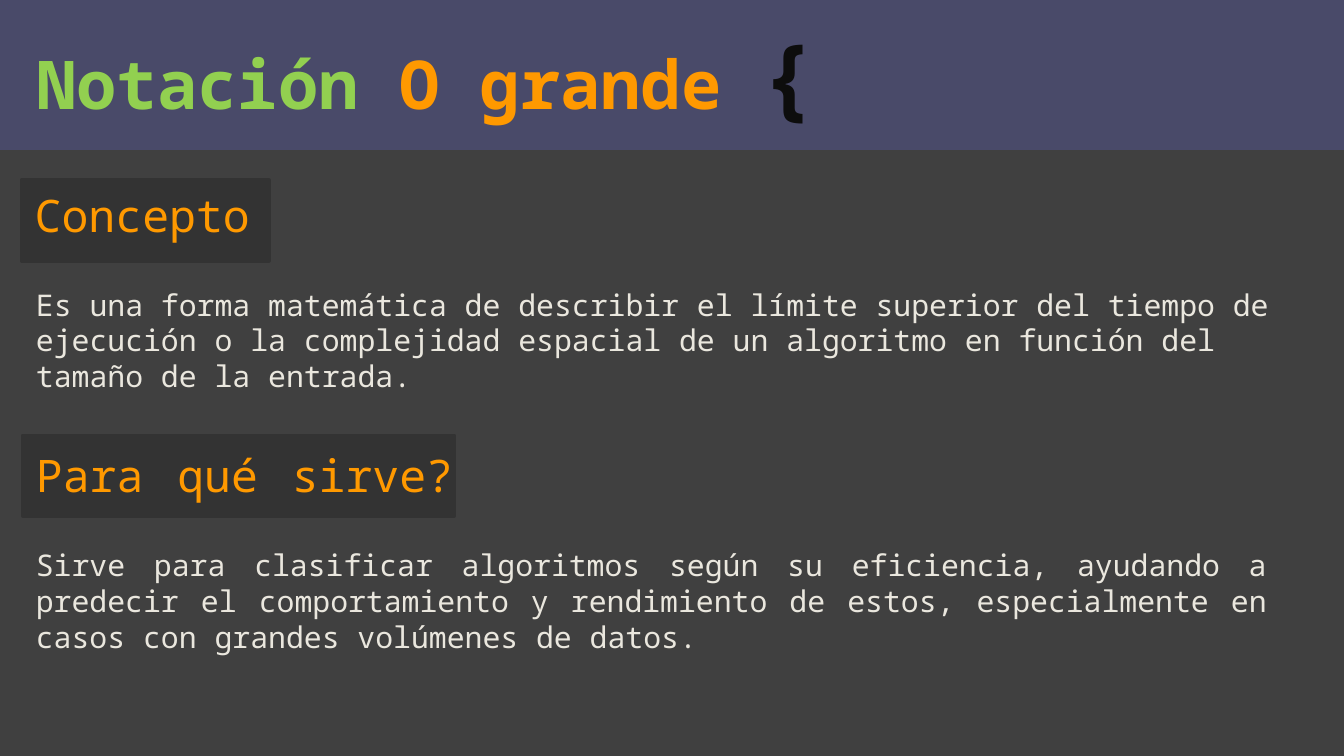
from pptx import Presentation
from pptx.dml.color import RGBColor
from pptx.enum.shapes import MSO_SHAPE as Preset
from pptx.enum.text import MSO_ANCHOR as Anchor, MSO_AUTO_SIZE as AutoSize, PP_ALIGN as Align
from pptx.util import Pt

FONT = "Noto Sans Mono"
COLORS = {
    "background": "404040",
    "panel": "333333",
    "banner": "494A69",
    "green": "92D050",
    "orange": "FF9900",
    "brace": "0D0D0D",
    "body": "EAE7DE",
}
TITLE_RUNS = [("Notación ", 36, "green"), ("O grande ", 36, "orange"), ("{", 48, "brace")]
SECTIONS = [
    {
        "heading": "Concepto",
        "heading_box": (11.5, 97.2, 152.6, 36),
        "panel_box": (11.5, 96.5, 132.5, 43.2),
        "text": "Es una forma matemática de describir el límite superior del tiempo de "
                "ejecución o la complejidad espacial de un algoritmo en función del "
                "tamaño de la entrada.",
        "text_box": (12.2, 149.8, 684.7, 65.5),
        "align": Align.LEFT,
    },
    {
        "heading": "Para qué sirve? ",
        "heading_box": (12.2, 236.2, 237.6, 36),
        "panel_box": (12.2, 233.3, 231.1, 43.2),
        "text": "Sirve para clasificar algoritmos según su eficiencia, ayudando a "
                "predecir el comportamiento y rendimiento de estos, especialmente en "
                "casos con grandes volúmenes de datos. ",
        "text_box": (12.2, 289.4, 673.9, 65.5),
        "align": Align.JUSTIFY,
    },
]


def color(name):
    return RGBColor.from_string(COLORS[name])


def apply(target, values):
    for name, value in values.items():
        setattr(target, name, value)


def add_block(slide, box, color_name):
    block = slide.shapes.add_shape(Preset.RECTANGLE, *map(Pt, box))
    block.shadow.inherit = False
    block.fill.solid()
    block.fill.fore_color.rgb = color(color_name)
    block.line.color.rgb = color(color_name)
    block.line.width = Pt(2)
    return block


def write_runs(shape, runs, align, bold=False):
    frame = shape.text_frame
    apply(frame, {
        "word_wrap": True,
        "auto_size": AutoSize.SHAPE_TO_FIT_TEXT,
        "vertical_anchor": Anchor.TOP,
    })
    paragraph = frame.paragraphs[0]
    paragraph.alignment = align
    for text, size, color_name in runs:
        run = paragraph.add_run()
        run.text = text
        apply(run.font, {"name": FONT, "size": Pt(size), "bold": bold})
        run.font.color.rgb = color(color_name)


def add_text(slide, box, run, align):
    write_runs(slide.shapes.add_textbox(*map(Pt, box)), [run], align)


def add_title(slide):
    banner = add_block(slide, (0, 0, 720, 79.2), "banner")
    title = slide.shapes.title
    apply(title, {"left": Pt(12.2), "top": Pt(7.2), "width": Pt(434.9), "height": Pt(65.5)})
    write_runs(title, TITLE_RUNS, Align.LEFT, bold=True)
    banner.element.addnext(title.element)


def add_section(slide, section):
    add_block(slide, section["panel_box"], "panel")
    add_text(slide, section["heading_box"], (section["heading"], 24, "orange"), Align.JUSTIFY)
    add_text(slide, section["text_box"], (section["text"], 16, "body"), section["align"])


def main():
    presentation = Presentation()
    apply(presentation, {"slide_width": Pt(720), "slide_height": Pt(405)})
    slide = presentation.slides.add_slide(presentation.slide_layouts[5])
    slide.background.fill.solid()
    slide.background.fill.fore_color.rgb = color("background")
    add_title(slide)
    for section in SECTIONS:
        add_section(slide, section)
    presentation.save("out.pptx")


if __name__ == "__main__":
    main()
